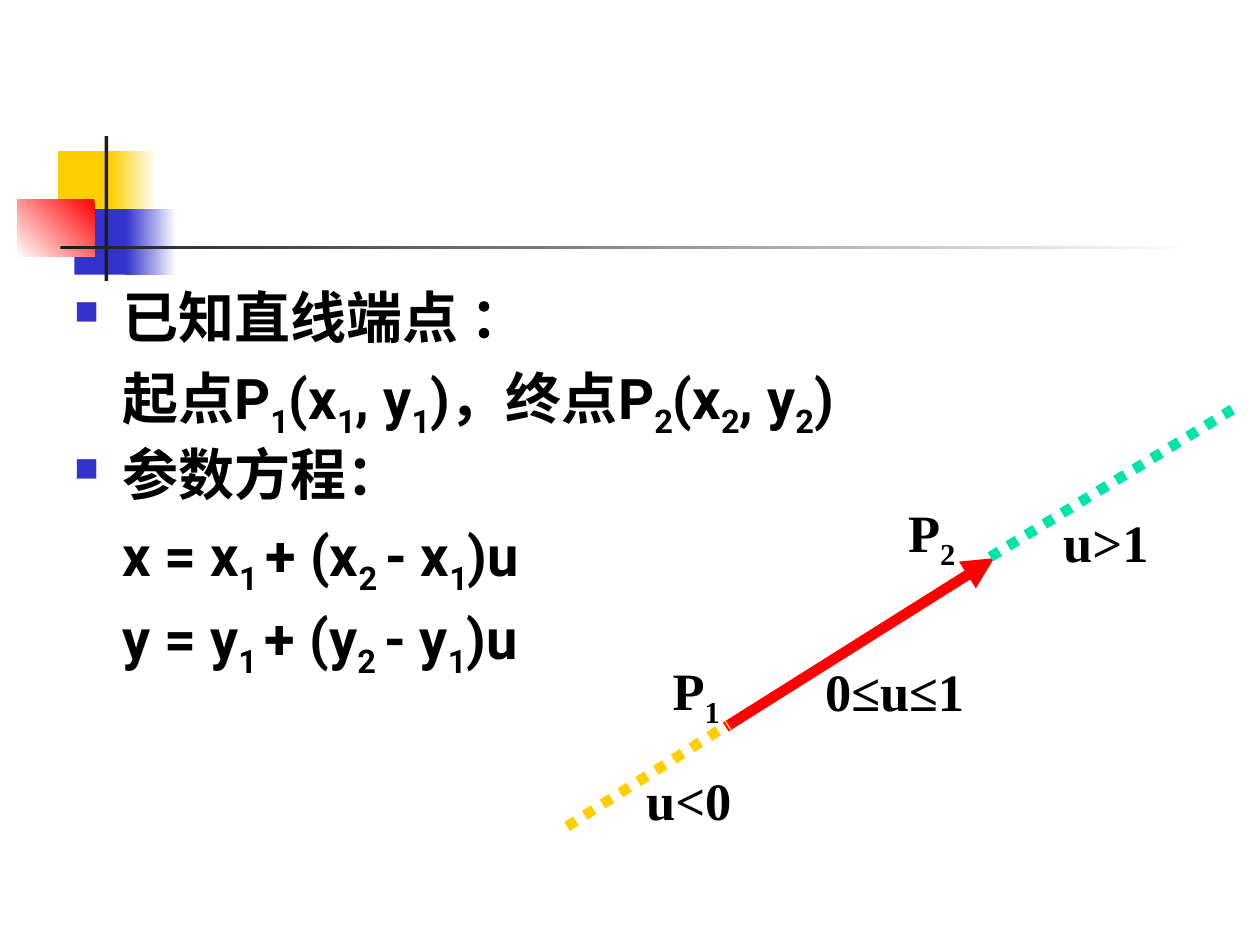
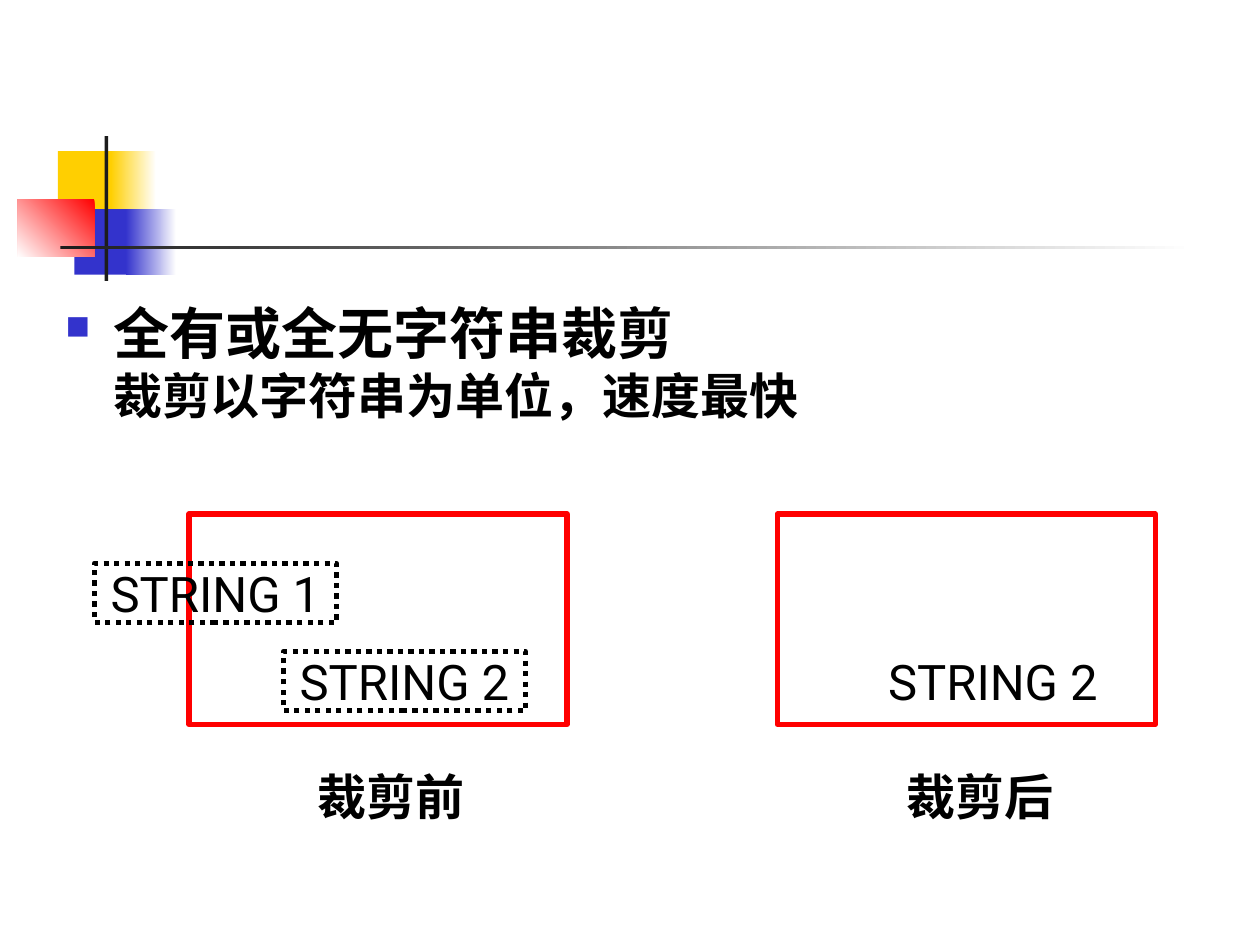
from lxml.etree import SubElement
from pptx import Presentation
from pptx.dml.color import RGBColor
from pptx.enum.dml import MSO_LINE
from pptx.enum.shapes import MSO_CONNECTOR, MSO_SHAPE
from pptx.enum.text import MSO_ANCHOR, PP_ALIGN
from pptx.oxml.ns import qn
from pptx.util import Inches, Pt

BLACK, WHITE, INK = "000000", "FFFFFF", "1C1C1C"
YELLOW, BLUE, RED, GREEN = "FFCF01", "3333CC", "FF0000", "00E4A8"
SANS, SERIF = "Roboto", "Times New Roman"
BODY_INDENT = 0.38


def rgb(hex_colour):
    return RGBColor.from_string(hex_colour)


class Deck:
    def __init__(self):
        self.prs = Presentation()
        self.prs.slide_width, self.prs.slide_height = Inches(10), Inches(7.5)
        self.slide = None

    def new_slide(self):
        """Start a slide with the shared blocks and crossed bars."""
        self.slide = self.prs.slides.add_slide(self.prs.slide_layouts[6])
        self.block((0.46, 1.2, 0.48, 0.52), YELLOW)
        self.block((0.88, 1.2, 0.36, 0.52), YELLOW, fade_angle=0)
        self.block((0.59, 1.66, 0.46, 0.52), BLUE)
        self.block((1, 1.66, 0.4, 0.52), BLUE, fade_angle=0)
        self.block((0.14, 1.58, 0.61, 0.46), RED, fade_angle=225)
        self.block((0.83, 1.08, 0.03, 1.15), INK)
        self.block((0.48, 1.95, 9, 0.03), INK, fade_angle=0)

    def rectangle(self, area):
        rect = self.slide.shapes.add_shape(MSO_SHAPE.RECTANGLE, *map(Inches, area))
        rect.shadow.inherit = False
        return rect

    def block(self, area, colour, fade_angle=None):
        """Draw a borderless block, fading to white if an angle is given."""
        block = self.rectangle(area)
        block.line.fill.background()
        if fade_angle is None:
            block.fill.solid()
            block.fill.fore_color.rgb = rgb(colour)
            return
        block.fill.gradient()
        block.fill.gradient_angle = fade_angle
        for stop, stop_colour in zip(block.fill.gradient_stops, (colour, WHITE)):
            stop.color.rgb = rgb(stop_colour)

    def frame(self, area, colour, dotted=False):
        frame = self.rectangle(area)
        frame.fill.background()
        self.stroke(frame.line, colour, 3, dotted)
        return frame

    def stroke(self, line, colour, width, dotted):
        line.color.rgb = rgb(colour)
        line.width = Pt(width)
        if dotted:
            line.dash_style = MSO_LINE.ROUND_DOT

    def segment(self, start, end, colour, dotted=False, arrow=False):
        segment = self.slide.shapes.add_connector(
            MSO_CONNECTOR.STRAIGHT, *map(Inches, start + end))
        self.stroke(segment.line, colour, 6, dotted)
        properties = segment._element.spPr
        if arrow:
            SubElement(properties.find(qn("a:ln")), qn("a:tailEnd"), type="triangle")
        SubElement(properties, qn("a:effectLst"))

    def text_box(self, area):
        return self.slide.shapes.add_textbox(*map(Inches, area))

    def set_text(self, paragraph, text, size, font=SANS, bold=True):
        """Fill a paragraph; every second part between bars is a subscript."""
        for i, part in enumerate(text.split("|")):
            if not part:
                continue
            run = paragraph.add_run()
            run.text = part
            if i % 2:
                run._r.get_or_add_rPr().set("baseline", "-25000")
        paragraph.font.name = font
        paragraph.font.size = Pt(size)
        paragraph.font.bold = bold
        paragraph.font.color.rgb = rgb(BLACK)

    def body(self, area, lines, line_spacing):
        """Add (text, size, bulleted) lines with a shared hanging indent."""
        frame = self.text_box(area).text_frame
        frame.word_wrap = True
        for i, (text, size, bulleted) in enumerate(lines):
            paragraph = frame.add_paragraph() if i else frame.paragraphs[0]
            props = paragraph._p.get_or_add_pPr()
            props.set("marL", str(Inches(BODY_INDENT)))
            if bulleted:
                props.set("indent", str(-Inches(BODY_INDENT)))
                colour = SubElement(props, qn("a:buClr"))
                SubElement(colour, qn("a:srgbClr"), val=BLUE)
                SubElement(props, qn("a:buSzPct"), val="60000")
                SubElement(props, qn("a:buChar"), char="■")
            paragraph.line_spacing = line_spacing
            if i:
                paragraph.space_before = Pt(size / 4)
            self.set_text(paragraph, text, size)

    def label(self, area, text):
        frame = self.text_box(area).text_frame
        frame.word_wrap = True
        self.set_text(frame.paragraphs[0], text, 30, SERIF)

    def centred(self, shape, text, bold=False):
        frame = shape.text_frame
        frame.word_wrap = False
        frame.vertical_anchor = MSO_ANCHOR.MIDDLE
        frame.margin_left = frame.margin_right = 0
        frame.margin_top = frame.margin_bottom = 0
        frame.paragraphs[0].alignment = PP_ALIGN.CENTER
        self.set_text(frame.paragraphs[0], text, 28, bold=bold)


def parametric_line(deck):
    deck.new_slide()
    deck.body((0.49, 2.25, 6.79, 3.72), [
        ("已知直线端点 ：", 32, True),
        ("起点P|1|(x|1|, y|1|)，终点P|2|(x|2|, y|2|)", 32, False),
        ("参数方程：", 32, True),
        ("x = x|1 |+ (x|2 |- x|1|)u", 32, False),
        ("y = y|1 |+ (y|2 |- y|1|)u", 32, False),
    ], 0.9)
    deck.segment((5.76, 5.77), (7.89, 4.43), RED, arrow=True)
    deck.segment((7.86, 4.42), (9.78, 3.25), GREEN, dotted=True)
    deck.segment((4.5, 6.56), (5.78, 5.75), YELLOW, dotted=True)
    deck.label((5.24, 5.17, 0.87, 0.67), "P|1")
    deck.label((7.11, 3.92, 0.87, 0.67), "P|2")
    deck.label((5.03, 6.05, 1, 0.6), "u<0")
    deck.label((6.45, 5.18, 2.9, 0.6), "0≤u≤1")
    deck.label((8.34, 4, 1, 0.6), "u>1")


def string_clipping(deck):
    deck.new_slide()
    deck.body((0.42, 2.42, 9.17, 1.25), [
        ("全有或全无字符串裁剪", 32, True),
        ("裁剪以字符串为单位，速度最快", 28, False),
    ], 0.8)
    before, after = 1.5, 6.17
    for window_left, caption in ((before, "裁剪前"), (after, "裁剪后")):
        deck.frame((window_left, 4.08, 3, 1.67), RED)
        deck.centred(deck.text_box((window_left + 1.02, 6.08, 1.17, 0.47)), caption, bold=True)
    for left, top, string in ((0.75, 4.47, "STRING 1"), (2.25, 5.17, "STRING 2")):
        deck.centred(deck.frame((left, top, 1.92, 0.47), BLACK, dotted=True), string)
    deck.centred(deck.text_box((after + 0.75, 5.17, 1.92, 0.47)), "STRING 2")


def main():
    deck = Deck()
    parametric_line(deck)
    string_clipping(deck)
    deck.prs.save("out.pptx")


if __name__ == "__main__":
    main()
